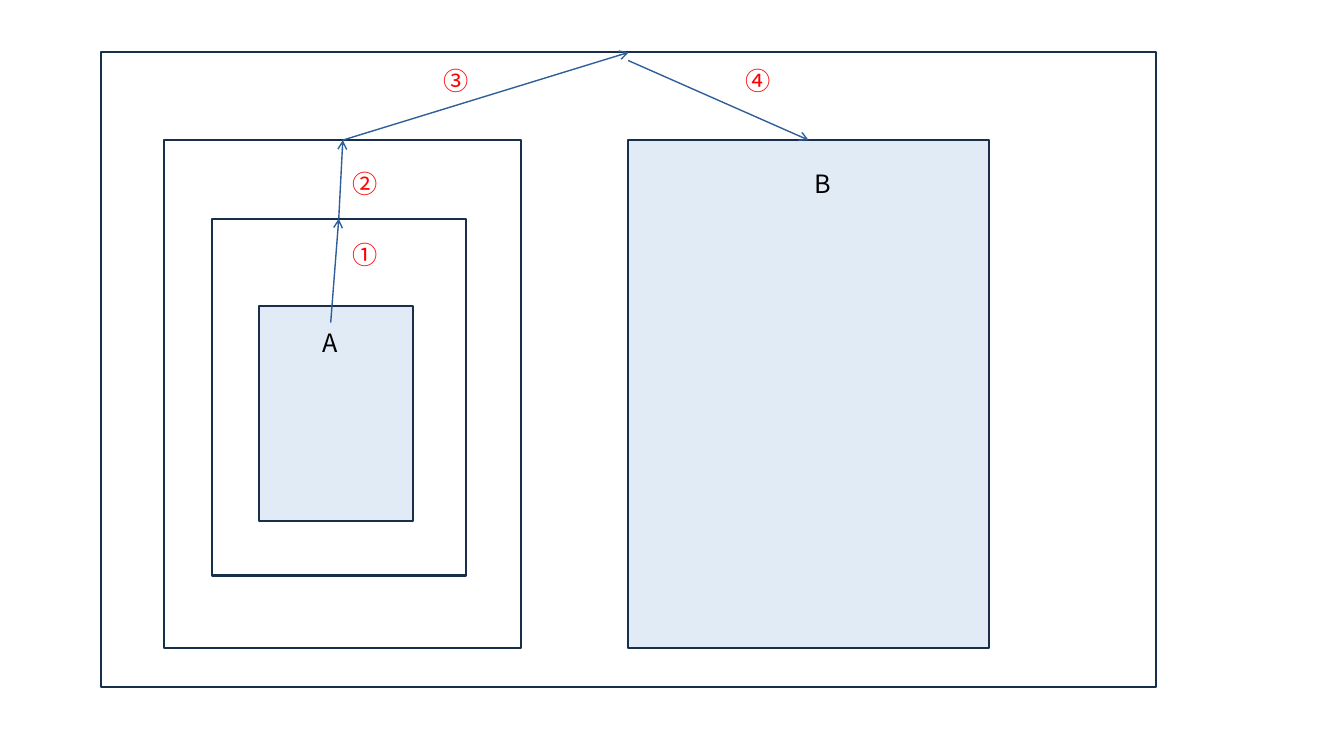
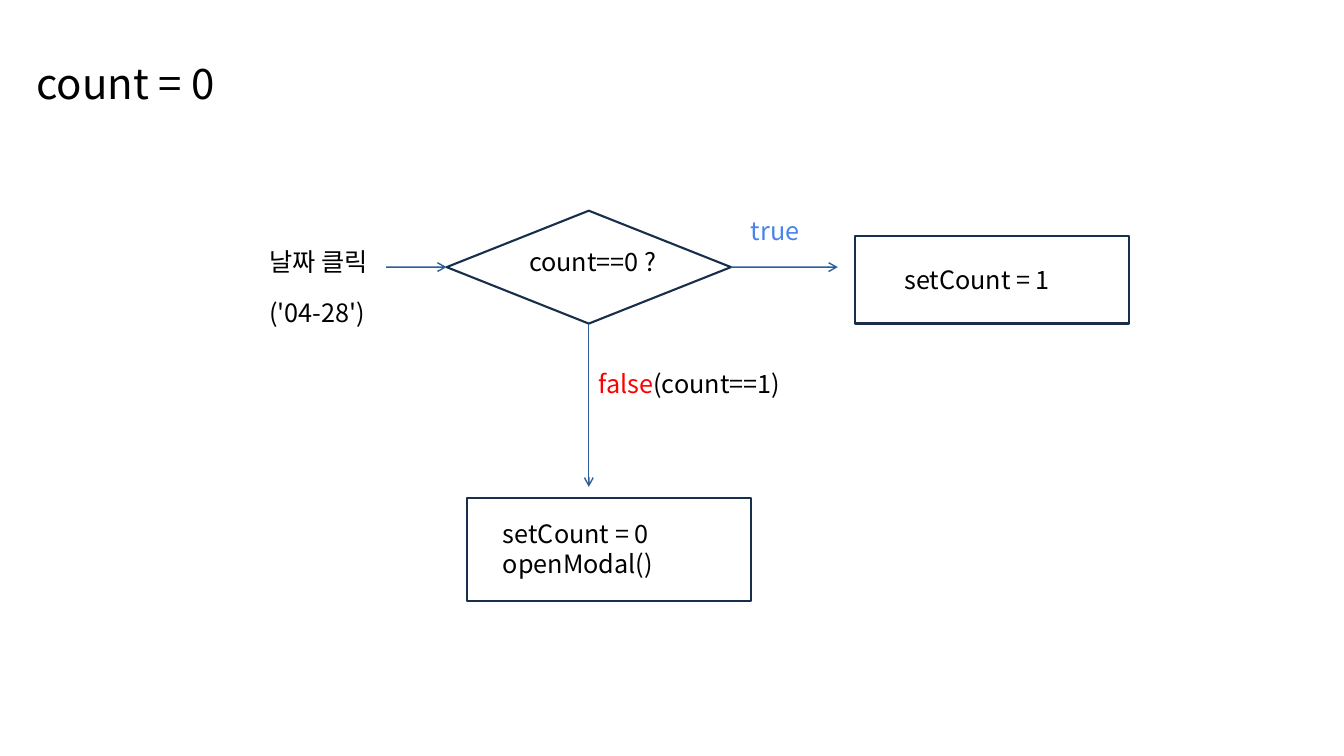
from dataclasses import dataclass

from lxml.etree import SubElement
from pptx import Presentation
from pptx.dml.color import RGBColor
from pptx.enum.shapes import MSO_CONNECTOR, MSO_SHAPE
from pptx.enum.text import MSO_ANCHOR, MSO_AUTO_SIZE, PP_ALIGN
from pptx.oxml.ns import qn
from pptx.util import Inches, Pt


@dataclass(frozen=True)
class Theme:
    font: str = "Noto Sans CJK KR"
    title_size: Pt = Pt(30)
    body_size: Pt = Pt(18)
    outline_width: Pt = Pt(1.5)
    arrow_width: Pt = Pt(1)
    ink: RGBColor = RGBColor(0x00, 0x00, 0x00)
    paper: RGBColor = RGBColor(0xFF, 0xFF, 0xFF)
    tint: RGBColor = RGBColor(0xE1, 0xEB, 0xF6)
    outline: RGBColor = RGBColor(0x18, 0x2F, 0x4B)
    arrow: RGBColor = RGBColor(0x2E, 0x5F, 0x9A)
    red: RGBColor = RGBColor(0xFF, 0x00, 0x00)
    blue: RGBColor = RGBColor(0x49, 0x83, 0xEE)


THEME = Theme()
TOP, LEFT, BOTTOM, RIGHT = range(4)


def add_run(paragraph, text, size, color):
    run = paragraph.add_run()
    run.text = text
    run.font.size = size
    run.font.name = THEME.font
    run.font.color.rgb = color
    SubElement(run.font._element, qn("a:ea")).set("typeface", THEME.font)


presentation = Presentation()
presentation.slide_width = Inches(13.33)
presentation.slide_height = Inches(7.5)
title_only, blank = presentation.slide_layouts[5], presentation.slide_layouts[6]

tree = presentation.slides.add_slide(blank).shapes
flow_slide = presentation.slides.add_slide(title_only)

heading = flow_slide.shapes.title
heading.left, heading.top = Inches(0.26), Inches(0.52)
heading.width, heading.height = Inches(6.98), Inches(0.59)
heading.text_frame.vertical_anchor = MSO_ANCHOR.TOP
heading.text_frame.paragraphs[0].alignment = PP_ALIGN.LEFT
add_run(heading.text_frame.paragraphs[0], "count = 0", THEME.title_size, THEME.ink)

flow = flow_slide.shapes.add_group_shape().shapes

# Boxes: drawing, preset, fill, left, top, width, height
boxes = {
    "root": (tree, MSO_SHAPE.RECTANGLE, THEME.paper, 1, 0.52, 10.47, 6.3),
    "outer": (tree, MSO_SHAPE.RECTANGLE, THEME.paper, 1.63, 1.39, 3.54, 5.04),
    "B": (tree, MSO_SHAPE.RECTANGLE, THEME.tint, 6.23, 1.39, 3.58, 5.04),
    "inner": (tree, MSO_SHAPE.RECTANGLE, THEME.paper, 2.1, 2.17, 2.52, 3.54),
    "A": (tree, MSO_SHAPE.RECTANGLE, THEME.tint, 2.57, 3.04, 1.53, 2.13),
    "decision": (flow, MSO_SHAPE.DIAMOND, THEME.paper, 4.43, 2.09, 2.82, 1.12),
    "set one": (flow, MSO_SHAPE.RECTANGLE, THEME.paper, 8.48, 2.34, 2.72, 0.87),
    "set zero": (flow, MSO_SHAPE.RECTANGLE, None, 4.63, 4.94, 2.82, 1.02),
}
placed = {}
for key, (drawing, preset, fill, *area) in boxes.items():
    box = drawing.add_shape(preset, *map(Inches, area))
    box.shadow.inherit = False
    if fill is None:
        box.fill.background()
    else:
        box.fill.solid()
        box.fill.fore_color.rgb = fill
    box.line.color.rgb = THEME.outline
    box.line.width = THEME.outline_width
    placed[key] = box

# Arrows: drawing, start, end, joined start, joined end
arrows = [
    (tree, (3.28, 3.2), (3.36, 2.17), None, ("inner", TOP)),
    (tree, (3.36, 2.17), (3.4, 1.39), ("inner", TOP), ("outer", TOP)),
    (tree, (3.4, 1.39), (6.23, 0.52), ("outer", TOP), ("root", TOP)),
    (tree, (6.23, 0.6), (8.02, 1.39), None, ("B", TOP)),
    (flow, (3.83, 2.65), (4.43, 2.65), None, ("decision", LEFT)),
    (flow, (5.84, 3.21), (5.84, 4.83), ("decision", BOTTOM), None),
    (flow, (7.25, 2.65), (8.31, 2.65), ("decision", RIGHT), None),
]
for drawing, start, end, source, target in arrows:
    arrow = drawing.add_connector(MSO_CONNECTOR.STRAIGHT, *map(Inches, start + end))
    if source:
        arrow.begin_connect(placed[source[0]], source[1])
    if target:
        arrow.end_connect(placed[target[0]], target[1])
    arrow.line.color.rgb = THEME.arrow
    arrow.line.width = THEME.arrow_width
    SubElement(arrow.line._get_or_add_ln(), qn("a:tailEnd")).set("type", "arrow")
    SubElement(arrow._element.spPr, qn("a:effectLst"))

# Labels: drawing, alignment, left, top, width, height, lines of (text, color) runs
labels = [
    (tree, PP_ALIGN.CENTER, 2.73, 3.2, 1.1, 0.4, [[("A", THEME.ink)]]),
    (tree, PP_ALIGN.CENTER, 7.3, 1.62, 1.73, 0.4, [[("B", THEME.ink)]]),
    (tree, PP_ALIGN.LEFT, 3.4, 2.33, 0.43, 0.4, [[("①", THEME.red)]]),
    (tree, PP_ALIGN.LEFT, 3.4, 1.62, 0.43, 0.4, [[("②", THEME.red)]]),
    (tree, PP_ALIGN.LEFT, 4.3, 0.6, 0.43, 0.4, [[("③", THEME.red)]]),
    (tree, PP_ALIGN.LEFT, 7.3, 0.6, 0.43, 0.4, [[("④", THEME.red)]]),
    (flow, PP_ALIGN.LEFT, 2.57, 2.39, 1.63, 0.4, [[("날짜 클릭", THEME.ink)]]),
    (flow, PP_ALIGN.LEFT, 2.57, 2.9, 1.54, 0.4, [[("('04-28')", THEME.ink)]]),
    (flow, PP_ALIGN.LEFT, 5.15, 2.39, 1.68, 0.4, [[("count==0 ?", THEME.ink)]]),
    (flow, PP_ALIGN.LEFT, 7.35, 2.09, 2.33, 0.4, [[("true", THEME.blue)]]),
    (flow, PP_ALIGN.LEFT, 5.84, 3.6, 2.28, 0.4,
     [[("false", THEME.red), ("(count==1)", THEME.ink)]]),
    (flow, PP_ALIGN.LEFT, 8.87, 2.57, 2.7, 0.4, [[("setCount = 1", THEME.ink)]]),
    (flow, PP_ALIGN.LEFT, 4.89, 5.09, 2.35, 0.7,
     [[("setCount = 0", THEME.ink)], [("openModal()", THEME.ink)]]),
]
for drawing, alignment, *area, lines in labels:
    frame = drawing.add_textbox(*map(Inches, area)).text_frame
    frame.word_wrap = True
    frame.auto_size = MSO_AUTO_SIZE.SHAPE_TO_FIT_TEXT
    for index, runs in enumerate(lines):
        paragraph = frame.add_paragraph() if index else frame.paragraphs[0]
        paragraph.alignment = alignment
        for text, color in runs:
            add_run(paragraph, text, THEME.body_size, color)

presentation.save("out.pptx")
